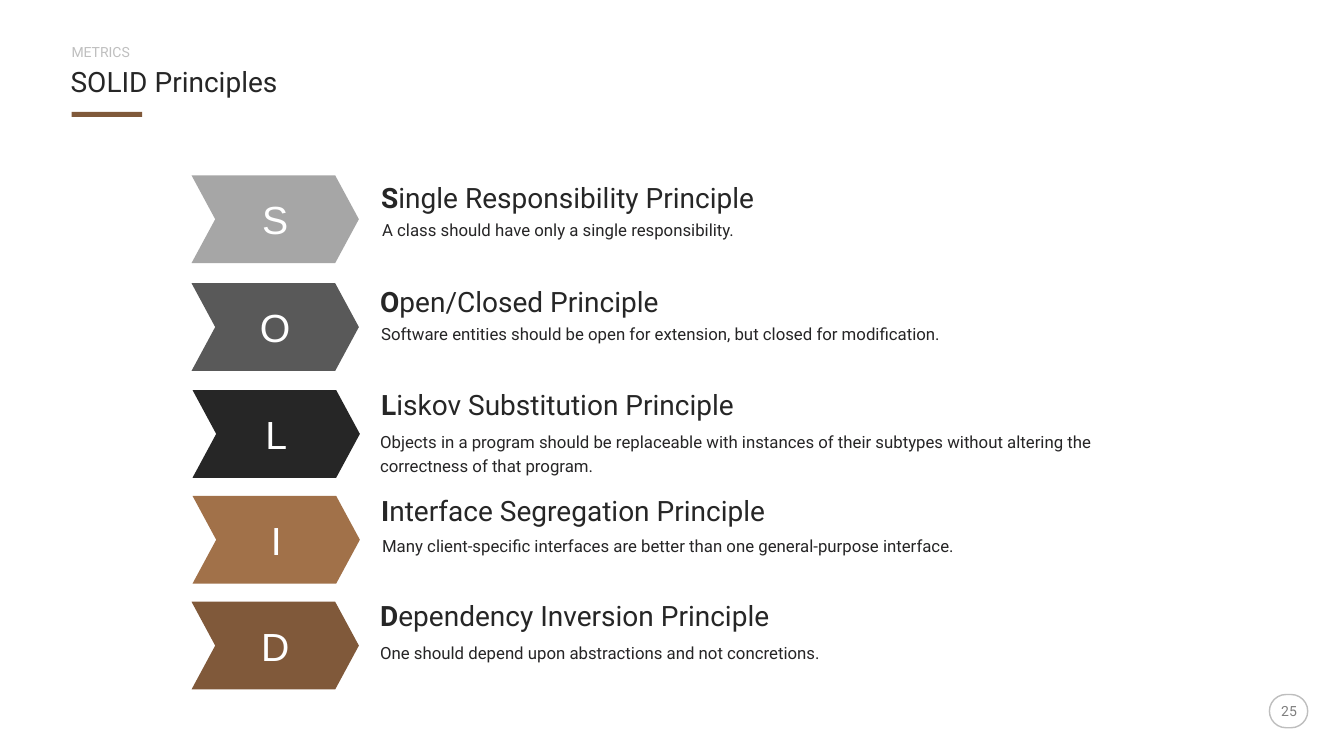
from dataclasses import dataclass

from pptx import Presentation
from pptx import util as u
from pptx.dml.color import RGBColor
from pptx.enum import shapes, text

PX = 9144  # EMU per px, 100 px to the inch


@dataclass(frozen=True)
class Theme:
    font: str = "Roboto"
    letter_font: str = "Arial"
    ink: str = "262626"
    body_ink: str = "262526"
    label: str = "BFBFBF"
    outline: str = "BEBEBE"
    page: str = "7F7F7F"
    white: str = "FFFFFF"
    silver: str = "A6A6A6"
    gray: str = "595959"
    tan: str = "A17149"
    brown: str = "80593A"
    small: int = 10
    body: int = 12
    heading: int = 20
    letter: int = 28


class Deck:
    def __init__(self, prs, theme):
        self.theme = theme
        self.slide = prs.slides.add_slide(prs.slide_layouts[5])

    def box(self, x, y, w, h):
        return [u.Emu(v * PX) for v in (x, y, w, h)]

    def set_text(self, sp, parts, size, color, font=None,
                 align=text.PP_ALIGN.LEFT, anchor=text.MSO_ANCHOR.TOP,
                 inset=(0, 0), spacing=1.0):
        """Fill a shape with one paragraph; parts are (words, bold) pairs."""
        tf = sp.text_frame
        tf.word_wrap = True
        tf.auto_size = text.MSO_AUTO_SIZE.NONE
        tf.vertical_anchor = anchor
        tf.margin_left = tf.margin_right = u.Emu(inset[0] * PX)
        tf.margin_top = tf.margin_bottom = u.Emu(inset[1] * PX)
        p = tf.paragraphs[0]
        p.alignment = align
        p.line_spacing = spacing
        p.font.name = font or self.theme.font
        p.font.size = u.Pt(size)
        p.font.color.rgb = RGBColor.from_string(color)
        for words, bold in parts:
            r = p.add_run()
            r.text = words
            if bold:
                r.font.bold = True

    def title(self, words, x, y, w, h):
        sp = self.slide.shapes.title
        sp.left, sp.top, sp.width, sp.height = self.box(x, y, w, h)
        self.set_text(sp, [(words, False)], self.theme.heading, self.theme.ink,
                      spacing=0.9)

    def textbox(self, parts, x, y, w, h, size, color, **style):
        sp = self.slide.shapes.add_textbox(*self.box(x, y, w, h))
        self.set_text(sp, parts, size, color, **style)

    def shape(self, kind, x, y, w, h, fill=None, line=None, adj=None):
        sp = self.slide.shapes.add_shape(kind, *self.box(x, y, w, h))
        sp.shadow.inherit = False
        if fill:
            sp.fill.solid()
            sp.fill.fore_color.rgb = RGBColor.from_string(fill)
        else:
            sp.fill.background()
        if line:
            sp.line.color.rgb = RGBColor.from_string(line)
            sp.line.width = u.Pt(1)
        else:
            sp.line.fill.background()
        if adj is not None:
            sp.adjustments[0] = adj
        return sp

    def chevron(self, letter, x, y, fill):
        sp = self.shape(shapes.MSO_SHAPE.CHEVRON, x, y, 166, 87, fill, adj=0.27)
        self.set_text(sp, [(letter, False)], self.theme.letter, self.theme.white,
                      font=self.theme.letter_font, align=text.PP_ALIGN.CENTER,
                      anchor=text.MSO_ANCHOR.MIDDLE, inset=(10, 5))

    def principle(self, name, detail, fill, chevron_at, name_at, detail_at):
        t = self.theme
        self.chevron(name[0], *chevron_at, fill)
        self.textbox([(name[0], True), (name[1:], False)], *name_at, 776, 44,
                     t.heading, t.ink, inset=(4, 5))
        self.textbox([(detail, False)], *detail_at, 776, 59,
                     t.body, t.body_ink, inset=(4, 5), spacing=1.2)


def main():
    prs = Presentation()
    prs.slide_width, prs.slide_height = u.Emu(1333 * PX), u.Emu(750 * PX)
    t = Theme()
    deck = Deck(prs, t)

    deck.textbox([("METRICS", False)], 71, 45, 1193, 17, t.small, t.label,
                 spacing=0.9)
    deck.title("SOLID Principles", 70, 68, 1193, 33)
    deck.shape(shapes.MSO_SHAPE.RECTANGLE, 71, 111, 70, 5, t.brown)

    # name, detail, fill, then left and top of chevron, name and detail
    principles = [
        ("Single Responsibility Principle",
         "A class should have only a single responsibility.",
         t.silver, (190, 174), (374, 174), (375, 209)),
        ("Open/Closed Principle",
         "Software entities should be open for extension, "
         "but closed for modification.",
         t.gray, (190, 281), (373, 277), (374, 312)),
        ("Liskov Substitution Principle",
         "Objects in a program should be replaceable with instances of their "
         "subtypes without altering the correctness of that program.",
         t.ink, (191, 387), (374, 380), (373, 419)),
        ("Interface Segregation Principle",
         "Many client-specific interfaces are better than "
         "one general-purpose interface.",
         t.tan, (191, 492), (374, 485), (375, 523)),
        ("Dependency Inversion Principle",
         "One should depend upon abstractions and not concretions.",
         t.brown, (190, 597), (373, 589), (373, 629)),
    ]
    for row in principles:
        deck.principle(*row)

    deck.shape(shapes.MSO_SHAPE.ROUNDED_RECTANGLE, 1259, 689, 38, 33,
               line=t.outline, adj=0.5)
    deck.textbox([("25", False)], 1255, 684, 47, 43, t.small, t.page,
                 align=text.PP_ALIGN.CENTER, anchor=text.MSO_ANCHOR.MIDDLE)
    prs.save("out.pptx")


if __name__ == "__main__":
    main()
